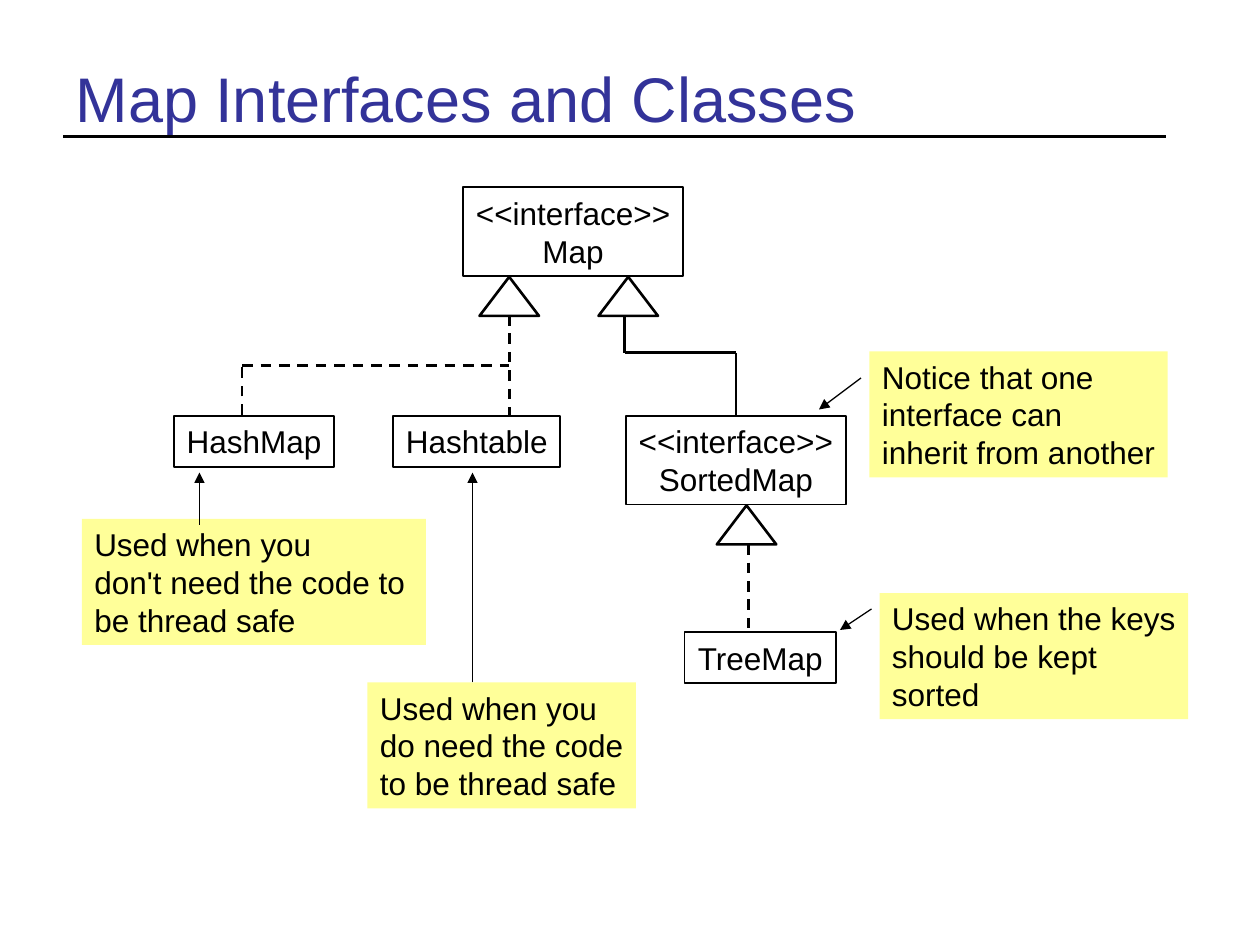
from lxml.etree import SubElement
from pptx import Presentation
from pptx.dml.color import RGBColor
from pptx.enum.dml import MSO_LINE
from pptx.enum.shapes import MSO_CONNECTOR, MSO_SHAPE
from pptx.enum.text import MSO_ANCHOR, MSO_AUTO_SIZE, PP_ALIGN
from pptx.oxml.ns import qn
from pptx.util import Pt

BLACK = RGBColor(0, 0, 0)
WHITE = RGBColor(255, 255, 255)
TITLE_BLUE = RGBColor(0x33, 0x33, 0x99)
NOTE_YELLOW = RGBColor(0xFF, 0xFF, 0x99)

presentation = Presentation()
presentation.slide_width = Pt(720)
presentation.slide_height = Pt(540)
slide = presentation.slides.add_slide(presentation.slide_layouts[5])


def add_box(left, top, width, height, lines, alignment, anchor):
    shape = slide.shapes.add_shape(
        MSO_SHAPE.RECTANGLE, Pt(left), Pt(top), Pt(width), Pt(height))
    shape.shadow.inherit = False
    frame = shape.text_frame
    frame.word_wrap = False
    frame.auto_size = MSO_AUTO_SIZE.NONE
    frame.vertical_anchor = anchor
    frame.margin_right = Pt(4)
    for index, line in enumerate(lines):
        paragraph = frame.add_paragraph() if index else frame.paragraphs[0]
        paragraph.alignment = alignment
        run = paragraph.add_run()
        run.text = line
        run.font.name = "Arial"
        run.font.size = Pt(18)
        run.font.color.rgb = BLACK
    return shape


def add_line(start_x, start_y, end_x, end_y, width=1.5):
    connector = slide.shapes.add_connector(
        MSO_CONNECTOR.STRAIGHT, Pt(start_x), Pt(start_y), Pt(end_x), Pt(end_y))
    connector.line.color.rgb = BLACK
    connector.line.width = Pt(width)
    SubElement(connector._element.spPr, qn("a:effectLst"))
    return connector


title = slide.shapes.title
title.left, title.top, title.width, title.height = Pt(36), Pt(21.6), Pt(648), Pt(68.4)
title.text_frame.vertical_anchor = MSO_ANCHOR.MIDDLE
paragraph = title.text_frame.paragraphs[0]
paragraph.alignment = PP_ALIGN.LEFT
run = paragraph.add_run()
run.text = "Map Interfaces and Classes"
run.font.name = "Arial"
run.font.size = Pt(36)
run.font.color.rgb = TITLE_BLUE

add_line(36, 78, 666, 78)

types = [
    (264.7, 107, 125.6, 50.8, ["<<interface>>", "Map"]),
    (357.7, 237.6, 125.6, 50.8, ["<<interface>>", "SortedMap"]),
    (391.2, 361.2, 86.4, 29.1, ["TreeMap"]),
    (99.4, 237.6, 91.5, 29.1, ["HashMap"]),
    (224.8, 237.6, 95.4, 29.1, ["Hashtable"]),
]
type_boxes = {}
for left, top, width, height, lines in types:
    box = add_box(left, top, width, height, lines, PP_ALIGN.CENTER, MSO_ANCHOR.MIDDLE)
    box.text_frame.margin_left = Pt(4)
    box.fill.background()
    box.line.color.rgb = BLACK
    box.line.width = Pt(1)
    type_boxes[lines[-1]] = box

for left, top in [(274, 158.2), (409.6, 288.8), (342, 158.2)]:
    triangle = slide.shapes.add_shape(
        MSO_SHAPE.ISOSCELES_TRIANGLE, Pt(left), Pt(top), Pt(34), Pt(22.3))
    triangle.shadow.inherit = False
    triangle.fill.solid()
    triangle.fill.fore_color.rgb = WHITE
    triangle.line.color.rgb = BLACK
    triangle.line.width = Pt(1.5)

implementations = [
    (291, 180, 291, 237.6),
    (138.4, 237, 138.4, 208.8),
    (138.4, 208.8, 291, 208.8),
    (427.6, 311, 427.6, 361),
]
for points in implementations:
    add_line(*points).line.dash_style = MSO_LINE.DASH

add_line(357, 180, 357, 201.6)
add_line(357, 201.6, 420.5, 201.6)
add_line(420.5, 201.6, 420.5, 237.6).end_connect(type_boxes["SortedMap"], 0)

notes = [
    (46.8, 296.6, 196.6, ["Used when you", "don't need the code to", "be thread safe"],
     (114, 300, 114, 270)),
    (210, 390, 153.4, ["Used when you", "do need the code", "to be thread safe"],
     (270, 390, 270, 270)),
    (502.6, 339, 176.4, ["Used when the keys", "should be kept", "sorted"],
     (498, 348, 480, 360)),
    (496.8, 200.8, 170.5, ["Notice that one", "interface can", "inherit from another"],
     (492, 216, 468, 234)),
]
for left, top, width, lines, arrow_points in notes:
    note = add_box(left, top, width, 72, lines, PP_ALIGN.LEFT, MSO_ANCHOR.TOP)
    note.text_frame.word_wrap = True
    note.fill.solid()
    note.fill.fore_color.rgb = NOTE_YELLOW
    note.line.fill.background()
    arrow = add_line(*arrow_points, width=0.75)
    SubElement(arrow.line._get_or_add_ln(), qn("a:tailEnd"), type="triangle")

presentation.save("out.pptx")
